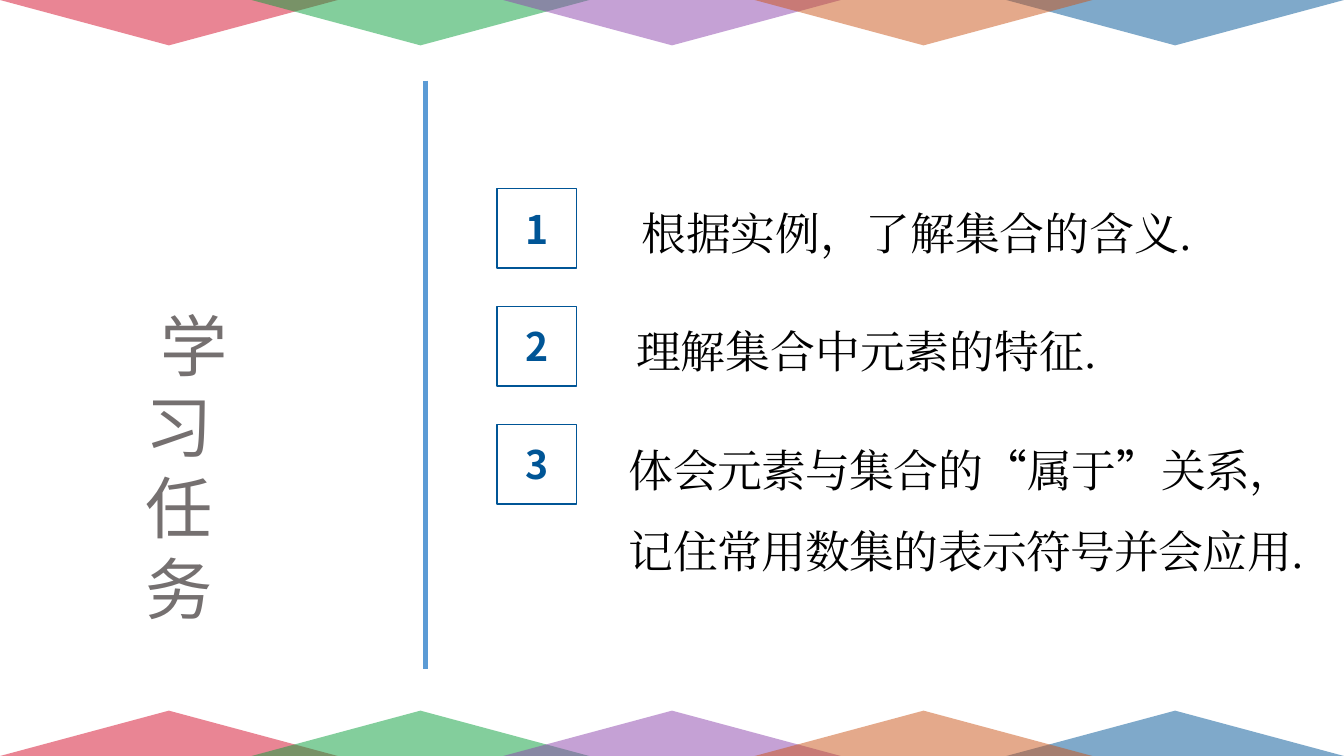
from pptx import Presentation, util as u
from pptx.dml.color import RGBColor
from pptx.enum import shapes, text
from pptx.oxml.ns import qn
from lxml import etree

RED, GREEN = RGBColor(0xD5, 0x0D, 0x2A), RGBColor(0x09, 0x9F, 0x3B)
PURPLE, ORANGE = RGBColor(0x8D, 0x44, 0xAD), RGBColor(0xCB, 0x55, 0x18)
BLUE, SKY = RGBColor(0x00, 0x55, 0x96), RGBColor(0x5B, 0x9B, 0xD5)
GREY, BLACK = RGBColor(0x75, 0x70, 0x70), RGBColor(0, 0, 0)
SANS, SERIF = "Noto Sans CJK SC", "Times New Roman"

W, H = 13.33, 7.5
TITLE = "学习任务"
TITLE_INDENT = 0.28
# colour and column, from back to front
TRIANGLES = [(RED, 0), (BLUE, 4), (GREEN, 1), (PURPLE, 2), (ORANGE, 3)]
TRI_W, TRI_H = 3.35, 0.45
BOX_X, BOX_Y, BOX_SIZE, BOX_STEP = 4.93, 1.87, 0.79, 1.17

# Each line is a list of (text, font, character spacing in points)
TASKS = [
    dict(at=(6.16, 1.99, 5.64, 0.64), wrap=False,
         format=dict(alignment=text.PP_ALIGN.RIGHT),
         lines=[[("根据实例，了解集合的含义.", SERIF, 0)]]),
    dict(at=(6.21, 2.9, 6.48, 0.91), wrap=True, format=dict(line_spacing=1.5),
         lines=[[("理解集合中元素的特征.", SERIF, 0)]]),
    dict(at=(6.14, 4.08, 6.87, 1.72), wrap=False, format=dict(line_spacing=1.5),
         lines=[[("体会元素与集合的", SERIF, -0.5), ("“", SANS, -0.5),
                 ("属于", SERIF, -0.5), ("”", SANS, -0.5),
                 ("关系，", SERIF, -0.5)],
                [("记住常用数集的表示符号并会应用", SERIF, -0.5),
                 (".", SERIF, 0)]]),
]


def inches(*lengths):
    return [u.Inches(n) for n in lengths]


def set_all(target, **values):
    for name, value in values.items():
        setattr(target, name, value)


def add_run(p, words, font, size, color, bold=False, spacing=0):
    r = p.add_run()
    r.text = words
    set_all(r.font, name=font, size=u.Pt(size), bold=bold)
    r.font.color.rgb = color
    rPr = r.font._element
    etree.SubElement(rPr, qn("a:ea")).set("typeface", font)
    if spacing:
        rPr.set("spc", str(int(spacing * 100)))


def add_triangle(s, color, column, top, rotation):
    left = column * (W - TRI_W) / (len(TRIANGLES) - 1)
    sp = s.shapes.add_shape(shapes.MSO_SHAPE.ISOSCELES_TRIANGLE,
                            *inches(left, top, TRI_W, TRI_H))
    sp.shadow.inherit = False
    sp.rotation = rotation
    sp.fill.solid()
    sp.fill.fore_color.rgb = color
    sp.line.fill.background()
    rgb = sp._element.spPr.find(qn("a:solidFill"))[0]
    etree.SubElement(rgb, qn("a:alpha")).set("val", "50000")


def add_title(s):
    tf = s.shapes.add_textbox(*inches(1.09, 2.96, 1.38, 4.14)).text_frame
    tf.word_wrap = True
    p = tf.paragraphs[0]
    set_all(p, alignment=text.PP_ALIGN.CENTER, line_spacing=u.Pt(58))
    p._p.get_or_add_pPr().set("indent", str(u.Inches(TITLE_INDENT)))
    add_run(p, TITLE, SANS, 48, GREY)


def add_divider(s):
    line = s.shapes.add_connector(shapes.MSO_CONNECTOR.STRAIGHT,
                                  *inches(4.22, 0.8, 4.22, 6.64))
    line.line.color.rgb = SKY
    line.line.width = u.Pt(3)
    etree.SubElement(line._element.spPr, qn("a:effectLst"))


def add_number(s, row):
    sp = s.shapes.add_shape(
        shapes.MSO_SHAPE.RECTANGLE,
        *inches(BOX_X, BOX_Y + row * BOX_STEP, BOX_SIZE, BOX_SIZE))
    sp.shadow.inherit = False
    sp.fill.background()
    sp.line.color.rgb = BLUE
    sp.line.width = u.Pt(1)
    tf = sp.text_frame
    tf.vertical_anchor = text.MSO_ANCHOR.MIDDLE
    p = tf.paragraphs[0]
    p.alignment = text.PP_ALIGN.CENTER
    add_run(p, str(row + 1), SANS, 28, BLUE, bold=True)


def add_task(s, task):
    tf = s.shapes.add_textbox(*inches(*task["at"])).text_frame
    tf.word_wrap = task["wrap"]
    for i, line in enumerate(task["lines"]):
        p = tf.add_paragraph() if i else tf.paragraphs[0]
        set_all(p, **task["format"])
        for words, font, spacing in line:
            add_run(p, words, font, 32, BLACK, spacing=spacing)


def main():
    prs = Presentation()
    prs.slide_width, prs.slide_height = inches(W, H)
    s = prs.slides.add_slide(prs.slide_layouts[6])
    for top, rotation in [(H - TRI_H, 0), (0, 180)]:
        for color, column in TRIANGLES:
            add_triangle(s, color, column, top, rotation)
    add_title(s)
    add_divider(s)
    for row in range(len(TASKS)):
        add_number(s, row)
    for task in TASKS:
        add_task(s, task)
    prs.save("out.pptx")


if __name__ == "__main__":
    main()
